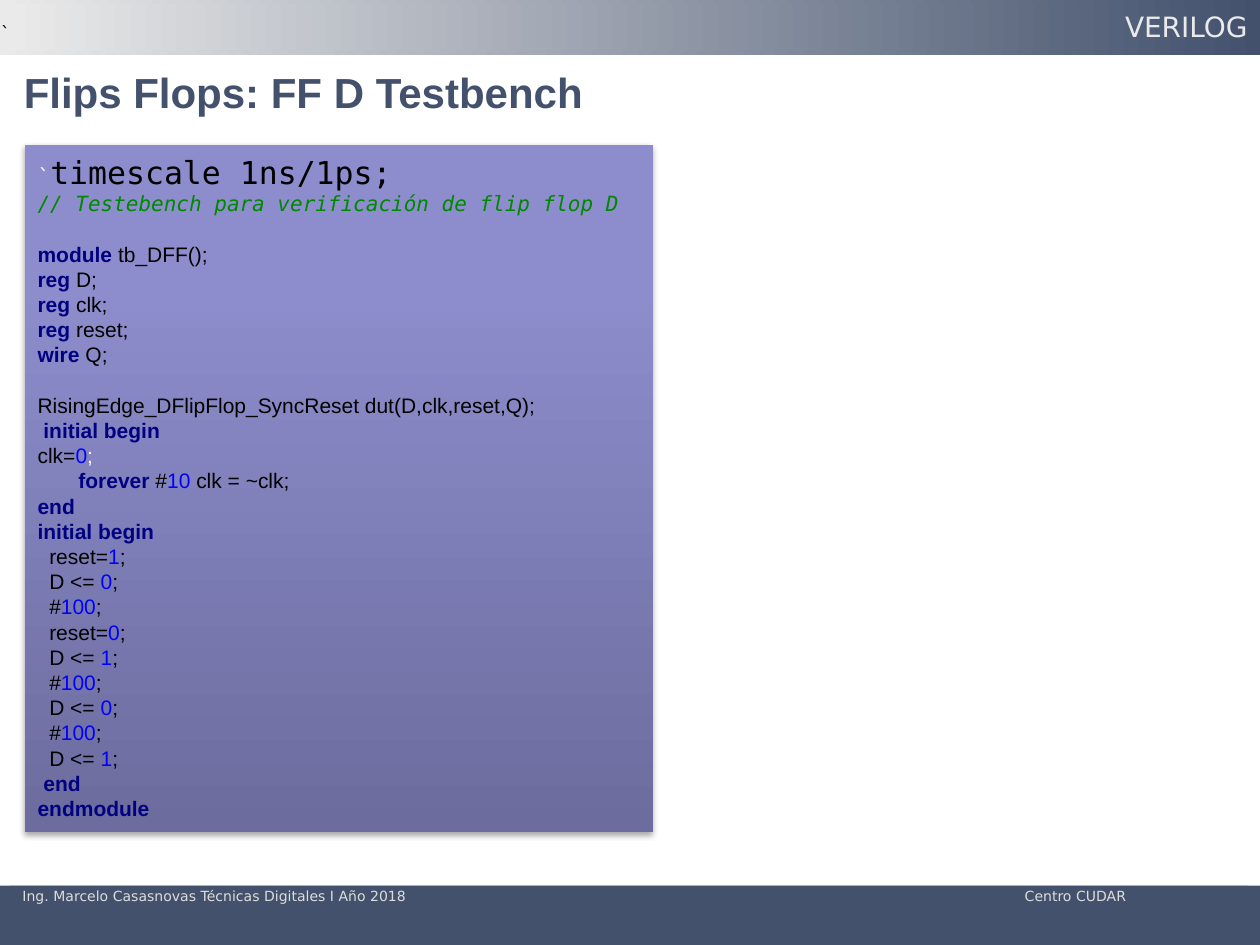
from lxml.etree import SubElement
from pptx import Presentation
from pptx.dml.color import RGBColor
from pptx.enum.shapes import MSO_SHAPE
from pptx.enum.text import MSO_ANCHOR, PP_ALIGN
from pptx.oxml.ns import qn
from pptx.util import Pt

SANS, UI, MONO = "Arial", "DejaVu Sans", "DejaVu Sans Mono"
NAVY, SILVER = "43516D", "EAEAEA"
BAR_STOPS = [(0, SILVER), (100, NAVY)]
CODE_STOPS = [(0, "6C6C9E"), (80, "8D8DCD"), (100, "8C8CCF")]
CODE_PITCH = 14.4

PLAIN, WHITE, NUMBER, KEYWORD = "000000", "FFFFFF", "0000FF", "000080"


def statement(start, value):
    return [(start, PLAIN), (value, NUMBER), (";", PLAIN)]


def declaration(keyword, rest):
    return [(keyword + " ", KEYWORD), (rest, PLAIN)]


RESET_ON, RESET_OFF = statement("reset=", "1"), statement("reset=", "0")
LOW, HIGH = statement("D <= ", "0"), statement("D <= ", "1")
WAIT = statement("#", "100")
STIMULUS = [RESET_ON, LOW, WAIT, RESET_OFF, HIGH, WAIT, LOW, WAIT, HIGH]

# Each line: indent, space before, runs of (text, colour)
CODE = [
    (0, CODE_PITCH, declaration("module", "tb_DFF();")),
    (0, 0, declaration("reg", "D;")),
    (0, 0, declaration("reg", "clk;")),
    (0, 0, declaration("reg", "reset;")),
    (0, 0, declaration("wire", "Q;")),
    (0, CODE_PITCH, [("RisingEdge_DFlipFlop_SyncReset dut(D,clk,reset,Q);", PLAIN)]),
    (3.33, 0, [("initial begin", KEYWORD)]),
    (0, 0, [("clk=", PLAIN), ("0", NUMBER), (";", WHITE)]),
    (23.33, 0, [("forever ", KEYWORD), ("#", PLAIN), ("10 ", NUMBER),
                ("clk = ~clk;", PLAIN)]),
    (0, 0, [("end", KEYWORD)]),
    (0, 0, [("initial begin", KEYWORD)]),
    *[(6.67, 0, runs) for runs in STIMULUS],
    (3.33, 0, [("end", KEYWORD)]),
    (0, 0, [("endmodule", KEYWORD)]),
]


def rgb(value):
    return RGBColor.from_string(value)


def add_run(para, text, font, size, color, bold=False, italic=False):
    span = para.add_run()
    span.text = text
    span.font.name, span.font.size = font, Pt(size)
    span.font.bold, span.font.italic = bold, italic
    span.font.color.rgb = rgb(color)


def add_rectangle(page, left, top, width, height, fill=None):
    box = page.shapes.add_shape(MSO_SHAPE.RECTANGLE, Pt(left), Pt(top), Pt(width), Pt(height))
    box.line.fill.background()
    box.shadow.inherit = False
    if fill:
        box.fill.solid()
        box.fill.fore_color.rgb = rgb(fill)
    frame = box.text_frame
    frame.word_wrap = True
    frame.vertical_anchor = MSO_ANCHOR.TOP
    frame.paragraphs[0].alignment = PP_ALIGN.LEFT
    return box


def add_label(page, left, top, width, height):
    box = page.shapes.add_textbox(Pt(left), Pt(top), Pt(width), Pt(height))
    box.text_frame.word_wrap = False
    return box.text_frame


def set_gradient(box, stops, angle):
    """Fill with (percent, colour) stops; the angle runs clockwise in degrees."""
    box.fill.gradient()
    gradient = box.element.spPr.find(qn("a:gradFill"))
    for child in list(gradient):
        gradient.remove(child)
    stop_list = SubElement(gradient, qn("a:gsLst"))
    for percent, color in stops:
        stop = SubElement(stop_list, qn("a:gs"), pos=str(percent * 1000))
        SubElement(stop, qn("a:srgbClr"), val=color)
    SubElement(gradient, qn("a:lin"), ang=str(angle * 60000), scaled="0")


def set_shadow(box, color, opacity, blur, distance):
    effects = box.element.spPr.find(qn("a:effectLst"))
    shadow = SubElement(effects, qn("a:outerShdw"), blurRad=str(Pt(blur)),
                        dist=str(Pt(distance)), dir="5400000", rotWithShape="0")
    tint = SubElement(shadow, qn("a:srgbClr"), val=color)
    SubElement(tint, qn("a:alpha"), val=str(opacity * 1000))


def add_header(page, left, top, width, height):
    bar = add_rectangle(page, left, top, width, height)
    band = add_rectangle(page, left + 5.76, top + 2.16, width - 5.76, height - 5)
    for box in (bar, band):
        set_gradient(box, BAR_STOPS, 0)
    para = band.text_frame.paragraphs[0]
    para.alignment = PP_ALIGN.RIGHT
    add_run(para, "VERILOG", UI, 16, SILVER)

    mark = add_label(page, left, top + 12.24, 3.6, 12.24)
    mark.margin_left = mark.margin_right = mark.margin_top = mark.margin_bottom = 0
    mark.vertical_anchor = MSO_ANCHOR.MIDDLE
    add_run(mark.paragraphs[0], "`", MONO, 10, PLAIN)


def add_title(page, left, top, width, height):
    frame = add_label(page, left, top, width, height)
    add_run(frame.paragraphs[0], "Flips Flops: FF D Testbench", SANS, 24, NAVY, bold=True)


def add_code(page, left, top, width, height):
    box = add_rectangle(page, left, top, width, height)
    set_gradient(box, CODE_STOPS, 270)
    set_shadow(box, "000000", 35, 3.1, 1.8)
    frame = box.text_frame
    frame.margin_top = Pt(4.6)
    para = frame.paragraphs[0]
    add_run(para, "`", MONO, 12, WHITE)
    add_run(para, "timescale 1ns/1ps;", MONO, 18, PLAIN)
    para = frame.add_paragraph()
    para.alignment = PP_ALIGN.LEFT
    add_run(para, "// Testebench para verificación de flip flop D", MONO, 12, "008800", italic=True)
    for indent, before, runs in CODE:
        para = frame.add_paragraph()
        para.alignment = PP_ALIGN.LEFT
        para.line_spacing, para.space_before = Pt(CODE_PITCH), Pt(before)
        para._p.get_or_add_pPr().set("marL", str(Pt(indent)))
        for text, color in runs:
            add_run(para, text, SANS, 12, color, bold=color == KEYWORD)


def add_footer(page, left, top, width, height):
    add_rectangle(page, left, top, width, height, "43516C")
    band = add_rectangle(page, left + 5.76, top, width - 12.96, 13.68, "43516C")
    para = band.text_frame.paragraphs[0]
    para.line_spacing = 0.7
    tabs = SubElement(para._p.get_or_add_pPr(), qn("a:tabLst"))
    SubElement(tabs, qn("a:tab"), pos=str(Pt(572.7)), algn="l")
    add_run(para, "Ing. Marcelo Casasnovas Técnicas Digitales I Año 2018\tCentro CUDAR",
            UI, 8, "DDDDDD")


def main():
    deck = Presentation()
    deck.slide_width, deck.slide_height = Pt(720), Pt(540)
    page = deck.slides.add_slide(deck.slide_layouts[6])
    add_footer(page, 0, 506.16, 720, 33.84)
    add_header(page, 0, 0, 720, 31.68)
    add_title(page, 6.48, 34.56, 337, 36)
    add_code(page, 14.4, 82.8, 359, 392.4)
    deck.save("out.pptx")


if __name__ == "__main__":
    main()
